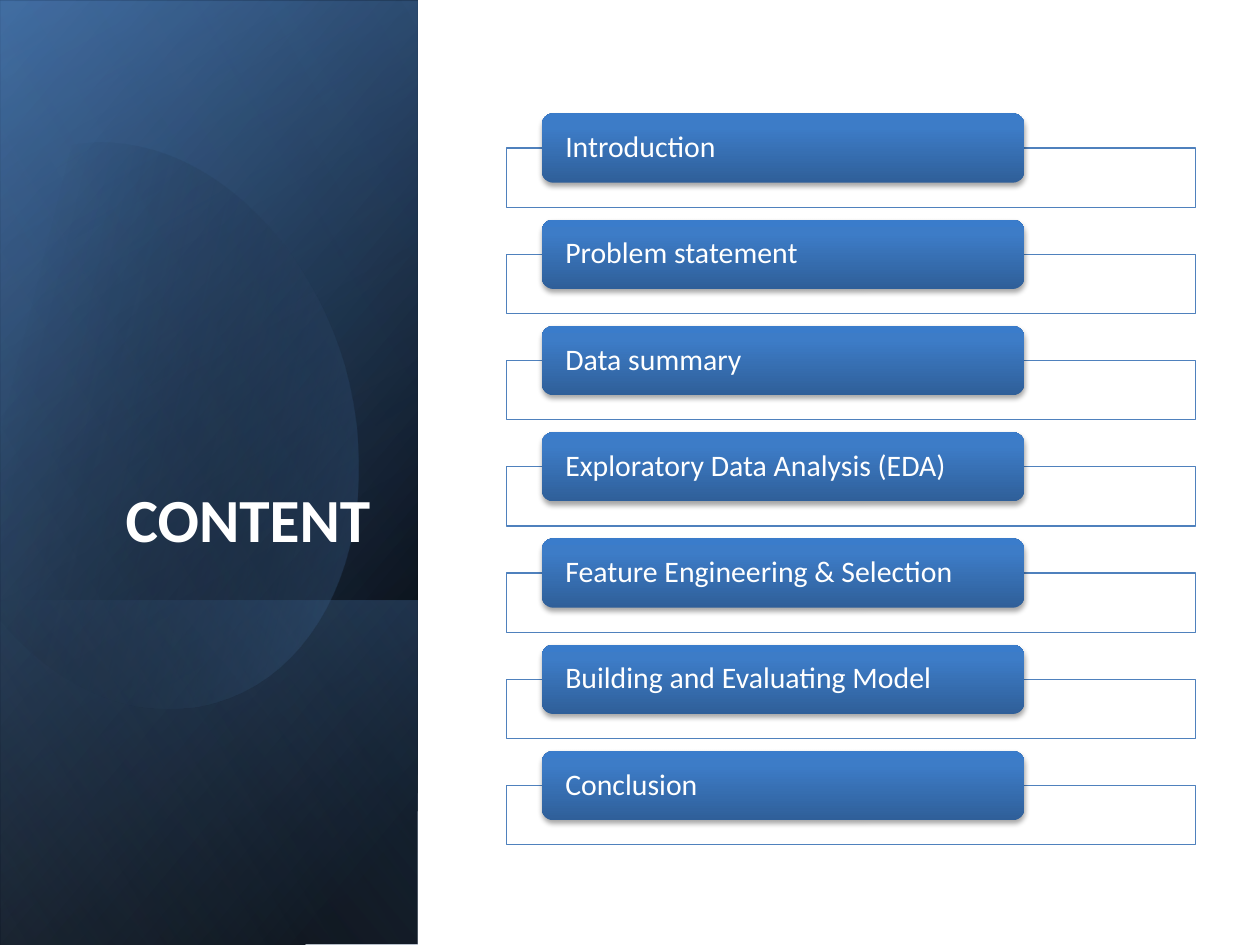
from math import cos, radians, sin

from lxml import etree
from pptx import Presentation
from pptx.dml.color import RGBColor
from pptx.enum.shapes import MSO_SHAPE
from pptx.enum.text import MSO_ANCHOR, PP_ALIGN
from pptx.oxml.ns import qn
from pptx.util import Inches, Pt

RECT, ROUND = MSO_SHAPE.RECTANGLE, MSO_SHAPE.ROUNDED_RECTANGLE
BOTTOM, MIDDLE = MSO_ANCHOR.BOTTOM, MSO_ANCHOR.MIDDLE
LEFT, RIGHT = PP_ALIGN.LEFT, PP_ALIGN.RIGHT

TITLE = "CONTENT"
TOPICS = [
    "Introduction",
    "Problem statement",
    "Data summary",
    "Exploratory Data Analysis (EDA)",
    "Feature Engineering & Selection",
    "Building and Evaluating Model",
    "Conclusion",
]

FONT = "Calibri"
WHITE, BLACK, ACCENT = "FFFFFF", "000000", "4F81BD"

# gradient stops: position %, colour, opacity %
CARD_STOPS = [(0, "2F5F99", 100), (80, "3D7CC7", 100), (100, "3A7CCB", 100)]
SIDE = (-2.09, 2.09, 7.5, 3.31)
PANELS = [
    (SIDE, [(8, BLACK, 100), (100, "376092", 100)], 50),
    ((-2.09, 2.11, 7.5, 3.31), [(0, BLACK, 0), (99, ACCENT, 46)], 30),
    ((0.29, 4.48, 2.74, 3.31), [(2, ACCENT, 29), (100, BLACK, 30)], 130),
]
SHEEN = (SIDE, [(0, BLACK, 0), (99, "95B3D7", 11)], 120)

BLOB_STOPS = [(29, BLACK, 0), (100, ACCENT, 43)]
BLOB_TURN, BLOB_CENTRE = 343.9, (1.19, 3.34)
BLOB_START = (0.96, 1.14)
BLOB_SEGMENTS = [
    [(1.71, 1.22), (2.44, 1.92), (2.73, 2.9)],
    [(3.07, 4.12), (2.62, 5.31), (1.71, 5.57)],
    [(1.14, 5.74), (0.53, 5.5), (0.07, 5)],
    [(-0.03, 4.88)],
    [(-0.25, 1.66)],
    [(-0.15, 1.54)],
    [(0.02, 1.37), (0.22, 1.25), (0.45, 1.18)],
    [(0.62, 1.13), (0.79, 1.12), (0.96, 1.14)],
]
CURVE_STEPS = 24

FIRST_TOP, LAST_TOP = 0.9, 5.96
PITCH = (LAST_TOP - FIRST_TOP) / (len(TOPICS) - 1)
CARD_X, CARD_W, CARD_H = 4.3, 3.83, 0.55
FRAME_X, FRAME_W, FRAME_H = 4.02, 5.47, 0.47


def rgb(value):
    return RGBColor.from_string(value)


def add_node(parent, tag, **attrs):
    node = etree.SubElement(parent, qn(tag))
    for key, value in attrs.items():
        node.set(key, str(value))
    return node


def add_color(parent, value, opacity):
    color = add_node(parent, "a:srgbClr", val=value)
    if opacity < 100:
        add_node(color, "a:alpha", val=opacity * 1000)


def fill_gradient(s, stops, angle):
    s.fill.background()
    empty = s._element.spPr.find(qn("a:noFill"))
    grad = etree.Element(qn("a:gradFill"), rotWithShape="1")
    gs_list = add_node(grad, "a:gsLst")
    for pos, value, opacity in stops:
        add_color(add_node(gs_list, "a:gs", pos=pos * 1000), value, opacity)
    add_node(grad, "a:lin", ang=angle * 60000, scaled=0)
    s._element.spPr.replace(empty, grad)


def add_shape(shapes, kind, box):
    s = shapes.add_shape(kind, *map(Inches, box))
    s.shadow.inherit = False
    s.line.fill.background()
    return s


def add_panel(shapes, box, stops, angle):
    s = add_shape(shapes, RECT, box)
    s.rotation = 90
    s._element.spPr.xfrm.set("flipH", "1")
    fill_gradient(s, stops, angle)


def bezier(points, t):
    weights = ((1 - t) ** 3, 3 * t * (1 - t) ** 2, 3 * t * t * (1 - t), t ** 3)
    return tuple(sum(w * pt[i] for w, pt in zip(weights, points)) for i in (0, 1))


def unturn(point):
    a = radians(360 - BLOB_TURN)
    cx, cy = BLOB_CENTRE
    dx, dy = point[0] - cx, point[1] - cy
    return (Inches(cx + dx * cos(a) - dy * sin(a)),
            Inches(cy + dx * sin(a) + dy * cos(a)))


def add_blob(shapes):
    outline = [BLOB_START]
    for segment in BLOB_SEGMENTS:
        if len(segment) == 1:
            outline += segment
        else:
            curve = [outline[-1]] + segment
            outline += [bezier(curve, i / CURVE_STEPS) for i in range(1, CURVE_STEPS + 1)]
    points = [unturn(pt) for pt in outline]
    builder = shapes.build_freeform(*points[0])
    builder.add_line_segments(points[1:], close=True)
    s = builder.convert_to_shape()
    s.shadow.inherit = False
    s.line.fill.background()
    s.rotation = BLOB_TURN
    fill_gradient(s, BLOB_STOPS, 30)


def set_text(s, text, size, bold, align, frame):
    tf = s.text_frame
    for key, value in dict(word_wrap=True, **frame).items():
        setattr(tf, key, value)
    p = tf.paragraphs[0]
    p.alignment, p.line_spacing = align, 0.9
    r = p.add_run()
    r.text = text
    for key, value in dict(name=FONT, size=Pt(size), bold=bold).items():
        setattr(r.font, key, value)
    r.font.color.rgb = rgb(WHITE)


def add_topic(shapes, row, text):
    top = FIRST_TOP + row * PITCH
    frame = add_shape(shapes, RECT, (FRAME_X, top + CARD_H / 2, FRAME_W, FRAME_H))
    frame.fill.solid()
    frame.fill.fore_color.rgb = rgb(WHITE)
    add_node(frame._element.spPr.find(qn("a:solidFill"))[0], "a:alpha", val=90000)
    frame.line.color.rgb = rgb(ACCENT)
    frame.line.width = Pt(0.75)

    card = add_shape(shapes, ROUND, (CARD_X, top, CARD_W, CARD_H))
    fill_gradient(card, CARD_STOPS, 270)
    effects = card._element.spPr.find(qn("a:effectLst"))
    shadow = add_node(effects, "a:outerShdw", blurRad=Pt(3.1), dist=Pt(1.8),
                      dir=90 * 60000, rotWithShape=0)
    add_color(shadow, BLACK, 35)
    set_text(card, text, 17, False, LEFT, dict(
        vertical_anchor=MIDDLE, margin_left=Inches(0.16), margin_right=Inches(0.16),
        margin_top=0, margin_bottom=0))


def main():
    prs = Presentation()
    prs.slide_width, prs.slide_height = Inches(10), Inches(7.5)
    shapes = prs.slides.add_slide(prs.slide_layouts[6]).shapes
    for panel in PANELS:
        add_panel(shapes, *panel)
    add_blob(shapes)
    add_panel(shapes, *SHEEN)
    title = shapes.add_textbox(*map(Inches, (0.48, 1.84, 2.56, 2.62)))
    set_text(title, TITLE, 35, True, RIGHT, dict(vertical_anchor=BOTTOM))
    for row, text in enumerate(TOPICS):
        add_topic(shapes, row, text)
    prs.save("out.pptx")


if __name__ == "__main__":
    main()
